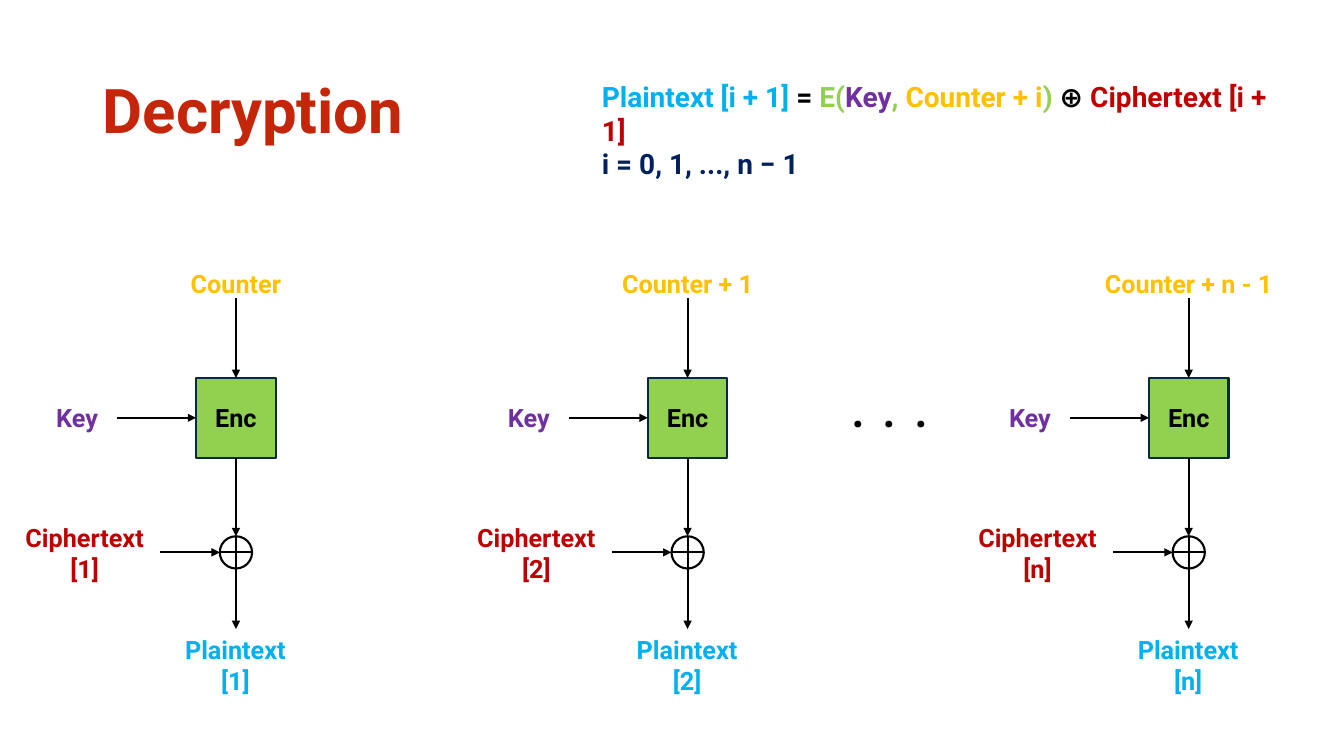
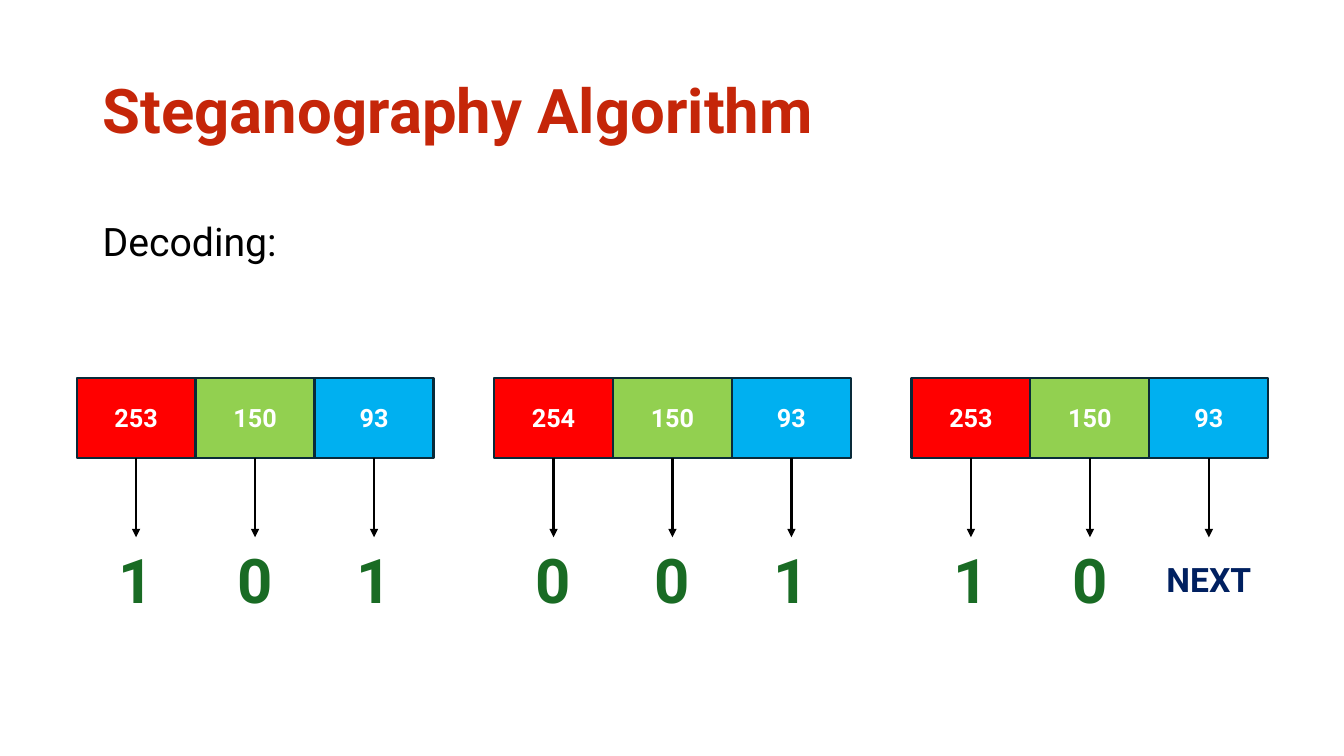
import pptx
import pptx.dml.color
import pptx.enum.shapes
import pptx.enum.text
import pptx.oxml.ns
import pptx.util
from lxml import etree

Inches = pptx.util.Inches
Pt = pptx.util.Pt
ALIGN = pptx.enum.text.PP_ALIGN
ANCHOR = pptx.enum.text.MSO_ANCHOR
SHAPE = pptx.enum.shapes.MSO_SHAPE
STRAIGHT = pptx.enum.shapes.MSO_CONNECTOR.STRAIGHT
TOP, LEFT, BOTTOM = 0, 1, 2  # connection sites

FONT = "Roboto"
LINE_WIDTH = 1.5
COLORS = {
    "title": "C52609", "black": "000000", "white": "FFFFFF", "outline": "092A39",
    "counter": "FFC000", "key": "7030A0", "ciphertext": "C00000",
    "plaintext": "00B0F0", "enc": "92D050", "navy": "002060", "bit": "196B24",
    "red": "FF0000", "green": "92D050", "blue": "00B0F0",
}


def rgb(name):
    return pptx.dml.color.RGBColor.from_string(COLORS[name])


def style_paragraph(paragraph, size, color=None, bold=True, align=ALIGN.CENTER):
    paragraph.alignment = align
    font = paragraph.font
    font.name, font.size, font.bold = FONT, Pt(size), bold
    if color:
        font.color.rgb = rgb(color)


def add_titled_slide(prs, title, title_width):
    slide = prs.slides.add_slide(prs.slide_layouts[5])
    heading = slide.shapes.title
    heading.left, heading.top = Inches(0.92), Inches(0.4)
    heading.width, heading.height = Inches(title_width), Inches(1.45)
    heading.text_frame.text = title
    heading.text_frame.vertical_anchor = ANCHOR.MIDDLE
    paragraph = heading.text_frame.paragraphs[0]
    style_paragraph(paragraph, 44, "title", align=ALIGN.LEFT)
    paragraph.line_spacing = 0.9
    return slide


def add_label(slide, box, text, color, size=18, bold=True,
              align=ALIGN.CENTER, anchor=ANCHOR.MIDDLE):
    label = slide.shapes.add_textbox(*map(Inches, box))
    frame = label.text_frame
    frame.word_wrap = True
    frame.vertical_anchor = anchor
    frame.text = text
    for paragraph in frame.paragraphs:
        style_paragraph(paragraph, size, color, bold, align)
    return label


def add_outlined(slide, preset, box, fill, outline, text="", text_color="black"):
    shape = slide.shapes.add_shape(preset, *map(Inches, box))
    shape.shadow.inherit = False
    shape.fill.solid()
    shape.fill.fore_color.rgb = rgb(fill)
    shape.line.color.rgb = rgb(outline)
    shape.line.width = Pt(LINE_WIDTH)
    if text:
        shape.text_frame.text = text
        shape.text_frame.vertical_anchor = ANCHOR.MIDDLE
        style_paragraph(shape.text_frame.paragraphs[0], 18, text_color)
    return shape


def add_line(slide, start, end, arrow=True, source=None, target=None):
    """source and target are (shape, connection site) pairs."""
    line = slide.shapes.add_connector(STRAIGHT, *map(Inches, (*start, *end)))
    line.line.color.rgb = rgb("black")
    line.line.width = Pt(LINE_WIDTH)
    if arrow:
        tail = etree.SubElement(line.line._get_or_add_ln(), pptx.oxml.ns.qn("a:tailEnd"))
        tail.set("type", "triangle")
    etree.SubElement(line._element.spPr, pptx.oxml.ns.qn("a:effectLst"))
    if source:
        line.begin_connect(*source)
    if target:
        line.end_connect(*target)


# Decryption slide
def add_cipher_block(slide, left, top, counter, index):
    center = left + 1.97
    side, diameter = 0.79, 0.32
    enc_top = top + 1.14
    enc_bottom = enc_top + side
    key_y = enc_top + side / 2
    xor_top = top + 2.71
    xor_y = xor_top + diameter / 2
    xor_bottom = xor_top + diameter
    xor_left, xor_right = center - diameter / 2, center + diameter / 2
    plaintext_top = top + 3.63

    # Encryption box and XOR symbol
    enc = add_outlined(slide, SHAPE.RECTANGLE,
                       (center - side / 2, enc_top, side, side),
                       "enc", "outline", "Enc")
    xor = add_outlined(slide, SHAPE.OVAL, (xor_left, xor_top, diameter, diameter),
                       "white", "black")
    add_line(slide, (center, xor_top), (center, xor_bottom), arrow=False)
    add_line(slide, (xor_left, xor_y), (xor_right, xor_y), arrow=False)

    # Arrows
    add_line(slide, (center, top + 0.35), (center, enc_top), target=(enc, TOP))
    add_line(slide, (left + side, key_y), (center - side / 2, key_y), target=(enc, LEFT))
    add_line(slide, (center, enc_bottom), (center, xor_top),
             source=(enc, BOTTOM), target=(xor, TOP))
    add_line(slide, (center - 0.75, xor_y), (xor_left, xor_y))
    add_line(slide, (center, xor_bottom), (center, plaintext_top))

    # Labels
    add_label(slide, (center - 1.18, top, 2.36, 0.4), counter, "counter")
    add_label(slide, (left, key_y - 0.2, side, 0.4), "Key", "key")
    add_label(slide, (center - 2.25, xor_y - 0.35, 1.5, 0.71),
              f"Ciphertext [{index}]", "ciphertext")
    add_label(slide, (center - 0.84, plaintext_top, 1.67, 0.71),
              f"Plaintext\n[{index}]", "plaintext")


def add_formula(slide, box):
    lines = [
        [("Plaintext [i + 1] ", "plaintext"), ("= ", "black"), ("E(", "enc"),
         ("Key", "key"), (", ", "enc"), ("Counter + i", "counter"), (")", "enc"),
         (" ⊕ ", "black"), ("Ciphertext [i + 1]", "ciphertext")],
        [("i = 0, 1, ..., n − 1", "navy")],
    ]
    frame = slide.shapes.add_textbox(*map(Inches, box)).text_frame
    frame.word_wrap = True
    for number, parts in enumerate(lines):
        paragraph = frame.add_paragraph() if number else frame.paragraphs[0]
        style_paragraph(paragraph, 20, align=ALIGN.LEFT)
        for text, color in parts:
            run = paragraph.add_run()
            run.text = text
            run.font.color.rgb = rgb(color)


def build_decryption(prs):
    slide = add_titled_slide(prs, "Decryption", 3.37)
    add_formula(slide, (5.87, 0.74, 7.09, 0.77))
    blocks = [(0.37, "Counter", "1"), (4.85, "Counter + 1", "2"),
              (9.82, "Counter + n - 1", "n")]
    for left, counter, index in blocks:
        add_cipher_block(slide, left, 2.61, counter, index)
    add_label(slide, (7.99, 3.58, 1.67, 0.84), ". . .", "black", 44, bold=False)


# Steganography slide
def add_pixel(slide, left, top, values, bits):
    width, height, arrow_length = 1.18, 0.79, 0.79
    for column, (value, bit, channel) in enumerate(
            zip(values, bits, ("red", "green", "blue"))):
        cell_left = left + column * width
        center = cell_left + width / 2
        bottom = top + height
        arrow_end = bottom + arrow_length
        cell = add_outlined(slide, SHAPE.RECTANGLE, (cell_left, top, width, height),
                            channel, "outline", str(value), "white")
        add_line(slide, (center, bottom), (center, arrow_end), source=(cell, BOTTOM))
        if bit == "NEXT":
            add_label(slide, (center - 0.52, arrow_end + 0.16, 1.04, 0.5), bit, "navy", 24)
        else:
            add_label(slide, (center - 0.34, arrow_end - 0.01, 0.68, 0.84), bit, "bit", 44)


def build_steganography(prs):
    slide = add_titled_slide(prs, "Steganography Algorithm", 11.5)
    add_label(slide, (0.92, 2, 1.95, 0.78), "Decoding:", "black", 28,
              bold=False, align=ALIGN.LEFT)
    pixels = [((253, 150, 93), ("1", "0", "1")),
              ((254, 150, 93), ("0", "0", "1")),
              ((253, 150, 93), ("1", "0", "NEXT"))]
    for number, (values, bits) in enumerate(pixels):
        add_pixel(slide, 0.76 + number * 4.14, 3.75, values, bits)


def main():
    prs = pptx.Presentation()
    prs.slide_width, prs.slide_height = Inches(13.33), Inches(7.5)
    build_decryption(prs)
    build_steganography(prs)
    prs.save("out.pptx")


if __name__ == "__main__":
    main()
